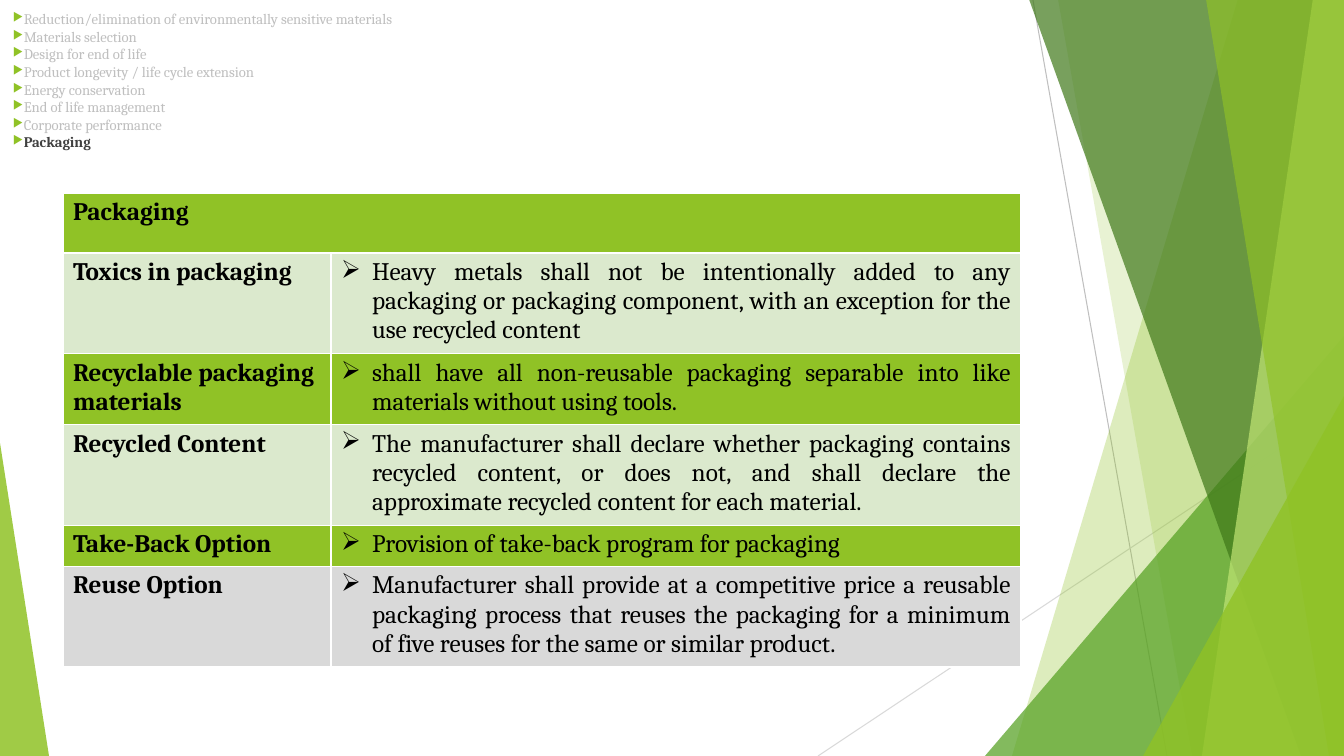
"""Build the packaging criteria slide with its green faceted backdrop."""
from dataclasses import dataclass

from lxml.etree import SubElement
from pptx import Presentation
from pptx.dml.color import RGBColor
from pptx.enum.shapes import MSO_CONNECTOR, MSO_SHAPE
from pptx.enum.text import MSO_ANCHOR, PP_ALIGN
from pptx.oxml.ns import qn
from pptx.util import Emu, Pt

EMU_PER_PX = 914400 / 100.8
WIDTH, HEIGHT = 1344, 756
FONT = "Cambria"
COLORS = {
    "lime": "90C226", "green": "54A021", "forest": "3F7819", "pale": "C0E474",
    "mint": "DBE9CD", "silver": "D9D9D9", "gray": "BFBFBF",
    "charcoal": "404040", "black": "000000",
}


@dataclass(frozen=True)
class Ray:
    start: tuple[int, int]
    end: tuple[int, int]
    color: str


@dataclass(frozen=True)
class Band:
    top_x: int
    bottom_x: int
    color: str
    opacity: int


@dataclass(frozen=True)
class Wedge:
    left: int
    top: int
    width: int
    apex: float
    color: str
    opacity: int


@dataclass(frozen=True)
class Criterion:
    title: str
    requirement: str
    height: int
    color: str


RAYS = [
    Ray((1033, 0), (1167, HEIGHT), "gray"),
    Ray((WIDTH, 406), (818, HEIGHT), "silver"),
]
FACETS = [
    Band(1238, 1012, "lime", 30),
    Band(1058, 1192, "lime", 20),
    Wedge(985, 336, 359, 1, "green", 72),
    Band(1029, 1301, "forest", 70),
    Band(1313, 1202, "pale", 70),
    Band(1206, 1329, "lime", 65),
    Wedge(1143, 396, 201, 1, "lime", 80),
    Wedge(0, 443, 49, 0, "lime", 85),
]
TOPICS = [
    "Reduction/elimination of environmentally sensitive materials",
    "Materials selection",
    "Design for end of life",
    "Product longevity / life cycle extension",
    "Energy conservation",
    "End of life management",
    "Corporate performance",
    "Packaging",
]
CURRENT_TOPIC = "Packaging"
HEADER_HEIGHT = 60
CRITERIA = [
    Criterion("Toxics in packaging",
              "Heavy metals shall not be intentionally added to any packaging or packaging "
              "component, with an exception for the use recycled content", 97, "mint"),
    Criterion("Recyclable packaging materials",
              "shall have all non-reusable packaging separable into like materials without "
              "using tools.", 69, "lime"),
    Criterion("Recycled Content",
              "The manufacturer shall declare whether packaging contains recycled content, or "
              "does not, and shall declare the approximate recycled content for each material.",
              97, "mint"),
    Criterion("Take-Back Option", "Provision of take-back program for packaging", 41, "lime"),
    Criterion("Reuse Option",
              "Manufacturer shall provide at a competitive price a reusable packaging process "
              "that reuses the packaging for a minimum of five reuses for the same or similar "
              "product.", 97, "silver"),
]


def px(length: int) -> Emu:
    return Emu(round(length * EMU_PER_PX))


def rgb(color: str) -> RGBColor:
    return RGBColor.from_string(COLORS[color])


def draw_ray(slide, ray: Ray) -> None:
    line = slide.shapes.add_connector(
        MSO_CONNECTOR.STRAIGHT, *map(px, ray.start + ray.end))
    line.line.color.rgb = rgb(ray.color)
    line.line.width = Pt(0.75)
    SubElement(line._element.spPr, qn("a:effectLst"))


def draw_facet(slide, facet: Band | Wedge) -> None:
    if isinstance(facet, Band):
        outline = slide.shapes.build_freeform(facet.top_x, -1, scale=EMU_PER_PX)
        outline.add_line_segments(
            [(WIDTH, -1), (WIDTH, HEIGHT), (facet.bottom_x, HEIGHT)], close=True)
        shape = outline.convert_to_shape()
    else:
        shape = slide.shapes.add_shape(
            MSO_SHAPE.ISOSCELES_TRIANGLE, px(facet.left), px(facet.top),
            px(facet.width), px(HEIGHT - facet.top))
        shape.adjustments[0] = facet.apex
    shape.shadow.inherit = False
    shape.line.fill.background()
    shape.fill.solid()
    shape.fill.fore_color.rgb = rgb(facet.color)
    tint = shape._element.spPr.find(qn("a:solidFill"))[0]
    SubElement(tint, qn("a:alpha"), val=str(facet.opacity * 1000))


def set_font(paragraph, size: float, color: str, bold: bool) -> None:
    font = paragraph.font
    font.name, font.size, font.bold = FONT, Pt(size), bold
    font.color.rgb = rgb(color)


def add_bullet(paragraph, mark: str, margin: int, indent: int,
               color: str = "black", percent: int = 100) -> None:
    properties = paragraph._p.get_or_add_pPr()
    properties.set("marL", str(px(margin)))
    properties.set("indent", str(px(indent)))
    bullet_color = properties.makeelement(qn("a:buClr"))
    SubElement(bullet_color, qn("a:srgbClr"), val=COLORS[color])
    bullet_size = properties.makeelement(qn("a:buSzPct"), val=str(percent * 1000))
    bullet_mark = properties.makeelement(qn("a:buChar"), char=mark)
    for position, part in enumerate((bullet_color, bullet_size, bullet_mark)):
        properties.insert(position, part)


def draw_topics(slide) -> None:
    agenda = slide.shapes.add_textbox(px(3), px(5), px(487), px(151)).text_frame
    agenda.word_wrap = True
    agenda.vertical_anchor = MSO_ANCHOR.TOP
    agenda.text = "\n".join(TOPICS)
    for topic in agenda.paragraphs:
        current = topic.text == CURRENT_TOPIC
        set_font(topic, 10.5, "charcoal" if current else "gray", current)
        add_bullet(topic, "▶", 0, -38, "lime", 80)


def fill_cell(cell, text: str, color: str, bold: bool) -> None:
    cell.fill.solid()
    cell.fill.fore_color.rgb = rgb(color)
    cell.text = text
    set_font(cell.text_frame.paragraphs[0], 18, "black", bold)


def draw_criteria(slide) -> None:
    heights = [HEADER_HEIGHT, *(criterion.height for criterion in CRITERIA)]
    widths = [268, 690]
    table = slide.shapes.add_table(
        len(heights), len(widths), px(63), px(193), px(sum(widths)), px(sum(heights))).table
    table.horz_banding = False
    for column, width in zip(table.columns, widths):
        column.width = px(width)
    for row, height in zip(table.rows, heights):
        row.height = px(height)
    table.cell(0, 0).merge(table.cell(0, 1))
    fill_cell(table.cell(0, 0), CURRENT_TOPIC, "lime", True)
    for row, criterion in enumerate(CRITERIA, start=1):
        fill_cell(table.cell(row, 0), criterion.title, criterion.color, True)
        requirement = table.cell(row, 1)
        fill_cell(requirement, criterion.requirement, criterion.color, False)
        paragraph = requirement.text_frame.paragraphs[0]
        paragraph.alignment = PP_ALIGN.JUSTIFY
        add_bullet(paragraph, "➢", 31, -31)


def main() -> None:
    deck = Presentation()
    deck.slide_width, deck.slide_height = px(WIDTH), px(HEIGHT)
    slide = deck.slides.add_slide(deck.slide_layouts[6])
    for ray in RAYS:
        draw_ray(slide, ray)
    for facet in FACETS:
        draw_facet(slide, facet)
    draw_topics(slide)
    draw_criteria(slide)
    deck.save("out.pptx")


if __name__ == "__main__":
    main()
